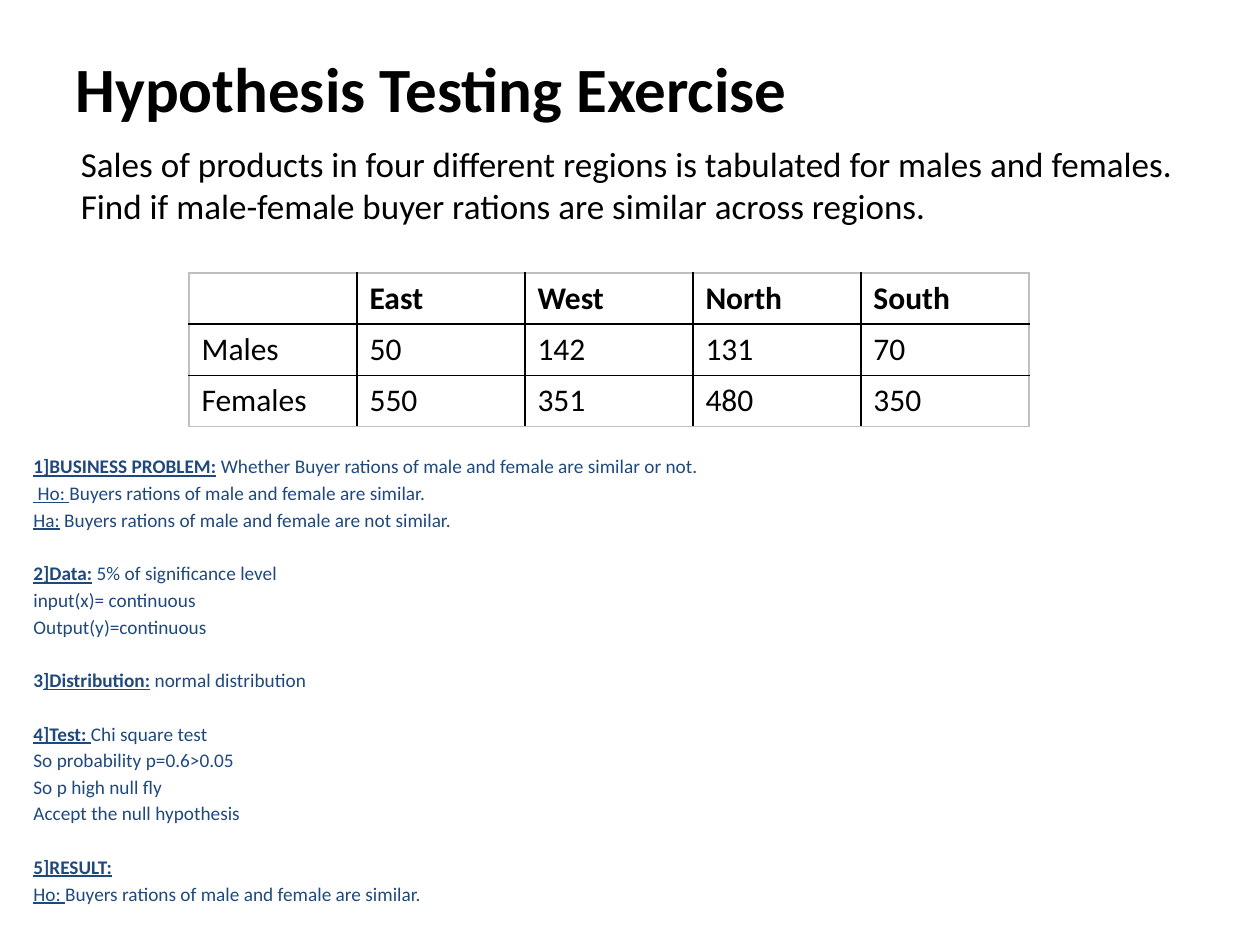
"""Build the hypothesis testing exercise slide."""
from lxml import etree
from pptx import Presentation
from pptx.dml.color import RGBColor
from pptx.enum.text import MSO_ANCHOR, PP_ALIGN
from pptx.oxml.ns import qn
from pptx.util import Pt

LEFT = PP_ALIGN.LEFT
MIDDLE = MSO_ANCHOR.MIDDLE
BLACK = RGBColor(0x00, 0x00, 0x00)
NAVY = RGBColor(0x1F, 0x49, 0x7D)
GREY = RGBColor(0xBF, 0xBF, 0xBF)


def style(run, size, color, marks=""):
    font = run.font
    font.name = "Calibri"
    font.size = Pt(size)
    font.color.rgb = color
    font.bold = "b" in marks
    font.underline = "u" in marks


def border(cell, side, color):
    props = cell._tc.get_or_add_tcPr()
    line = etree.SubElement(props, qn("a:" + side), w=str(Pt(1)))
    fill = etree.SubElement(line, qn("a:solidFill"))
    etree.SubElement(fill, qn("a:srgbClr"), val=str(color))


deck = Presentation()
deck.slide_width = Pt(720)
deck.slide_height = Pt(540)
slide = deck.slides.add_slide(deck.slide_layouts[5])
shapes = slide.shapes

title = shapes.title
title.left, title.top = Pt(36), Pt(21.6)
title.width, title.height = Pt(648), Pt(56.4)
title.text_frame.text = "Hypothesis Testing Exercise"
title.text_frame.vertical_anchor = MIDDLE
head = title.text_frame.paragraphs[0]
head.alignment = LEFT
style(head.runs[0], 36, BLACK, "b")

task = shapes.add_textbox(Pt(12), Pt(78), Pt(696), Pt(444)).text_frame
task.word_wrap = True
task.margin_left = Pt(34.2)
task.text = (
    "Sales of products in four different regions is tabulated for males "
    "and females. Find if male-female buyer rations are similar across regions."
)
style(task.paragraphs[0].runs[0], 20, BLACK)

SALES = [
    ["", "East", "West", "North", "South"],
    ["Males", "50", "142", "131", "70"],
    ["Females", "550", "351", "480", "350"],
]
rows, cols = len(SALES), len(SALES[0])
table = shapes.add_table(rows, cols, Pt(108), Pt(156), Pt(480), Pt(87.9)).table
table.horz_banding = False
for r, row in enumerate(SALES):
    for c, text in enumerate(row):
        cell = table.cell(r, c)
        edges = {
            "lnL": c == 0,
            "lnR": c == cols - 1,
            "lnT": r == 0,
            "lnB": r == rows - 1,
        }
        for side, outer in edges.items():
            border(cell, side, GREY if outer else BLACK)
        cell.fill.background()
        cell.text = text
        for run in cell.text_frame.paragraphs[0].runs:
            style(run, 18, BLACK, "b" if r == 0 else "")

SIMILAR = ("Buyers rations of male and female are similar.", "")
STEPS = [
    [
        [("1]BUSINESS PROBLEM:", "bu"),
         (" Whether Buyer rations of male and female are similar or not.", "")],
        [(" Ho: ", "u"), SIMILAR],
        [("Ha:", "u"), (" Buyers rations of male and female are not similar.", "")],
    ],
    [
        [("2]Data:", "bu"), (" 5% of significance level", "")],
        [("input(x)= continuous", "")],
        [("Output(y)=continuous", "")],
    ],
    [
        [("3", "b"), ("]Distribution:", "bu"), (" normal distribution", "")],
    ],
    [
        [("4]Test: ", "bu"), ("Chi square test", "")],
        [("So probability p=0.6>0.05", "")],
        [("So p high null fly", "")],
        [("Accept the null hypothesis", "")],
    ],
    [
        [("5]RESULT:", "bu")],
        [("Ho: ", "u"), SIMILAR],
    ],
]
notes = shapes.add_textbox(Pt(12), Pt(256.3), Pt(672), Pt(308)).text_frame
notes.word_wrap = True
para = notes.paragraphs[0]
for s, step in enumerate(STEPS):
    for n, line in enumerate(step):
        if s or n:
            para = notes.add_paragraph()
            para.space_before = Pt(2) if n else Pt(17.4)
        for text, marks in line:
            run = para.add_run()
            run.text = text
            style(run, 11, NAVY, marks)

deck.save("out.pptx")
